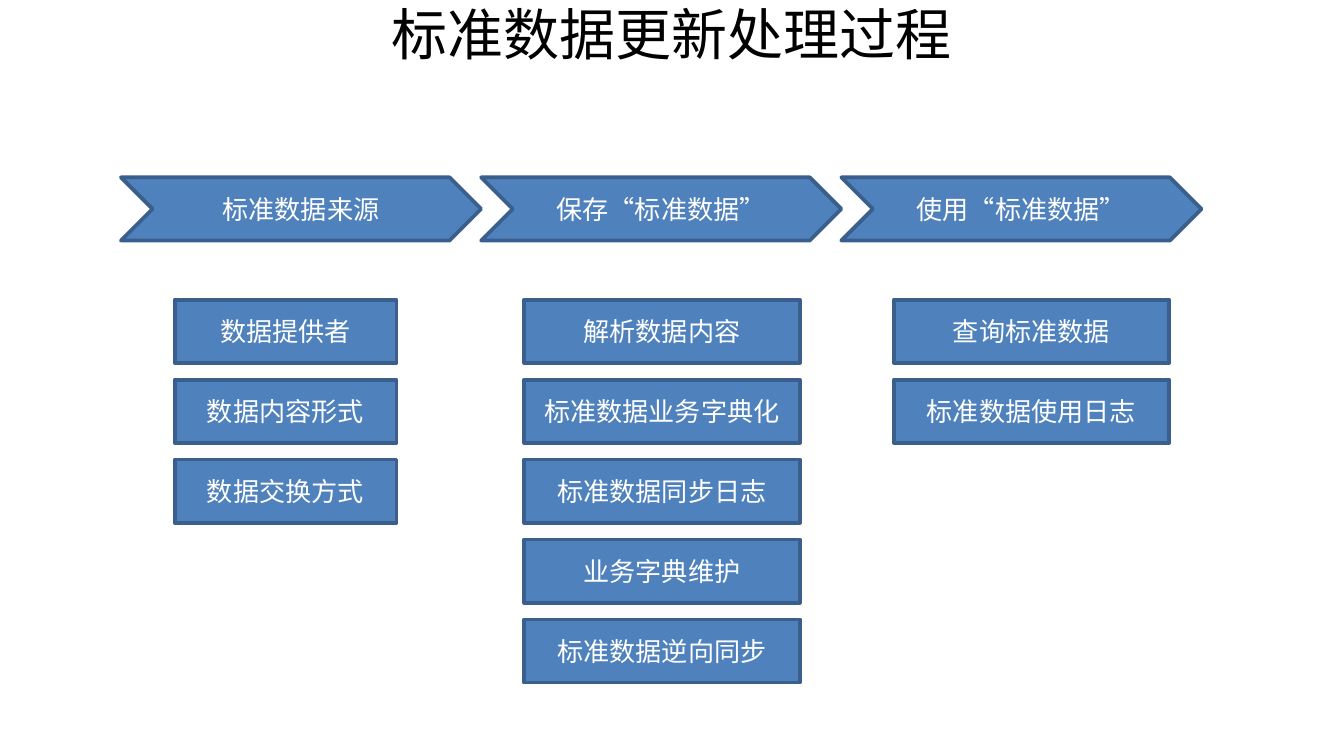
import pptx
import pptx.util
import pptx.dml.color
import pptx.enum.shapes
import pptx.enum.text

Inches = pptx.util.Inches
Pt = pptx.util.Pt
KIND = pptx.enum.shapes.MSO_SHAPE
ANCHOR = pptx.enum.text.MSO_ANCHOR


def color(code):
    return pptx.dml.color.RGBColor.from_string(code)


def write(shape, words, font, size, code, anchor):
    frame = shape.text_frame
    frame.word_wrap = True
    frame.vertical_anchor = anchor
    frame.margin_top = frame.margin_bottom = 0
    frame.text = words
    line = frame.paragraphs[0]
    line.alignment = pptx.enum.text.PP_ALIGN.CENTER
    run = line.runs[0]
    run.font.name = font
    run.font.size = Pt(size)
    run.font.color.rgb = color(code)


deck = pptx.Presentation()
deck.slide_width = Inches(10)
deck.slide_height = Inches(10) * 9 // 16
slide = deck.slides.add_slide(deck.slide_layouts[6])

title = slide.shapes.add_textbox(0, 0, Inches(10), Inches(0.55))
write(title, "标准数据更新处理过程", "Noto Sans CJK SC", 30, "000000", ANCHOR.TOP)

stages = [
    ("标准数据来源", 1.3, 1.65,
     ["数据提供者", "数据内容形式", "数据交换方式"]),
    ("保存“标准数据”", 3.9, 2.05,
     ["解析数据内容", "标准数据业务字典化", "标准数据同步日志",
      "业务字典维护", "标准数据逆向同步"]),
    ("使用“标准数据”", 6.65, 2.05,
     ["查询标准数据", "标准数据使用日志"]),
]
first, last = 2.23, 4.61
pitch = (last - first) / 4

boxes = []
for col, (stage, left, width, steps) in enumerate(stages):
    boxes.append((KIND.CHEVRON, stage, 0.9 + 2.68 * col, 1.32, 2.68))
    for row, step in enumerate(steps):
        boxes.append((KIND.RECTANGLE, step, left, first + pitch * row, width))

for kind, words, left, top, width in boxes:
    box = slide.shapes.add_shape(
        kind, Inches(left), Inches(top), Inches(width), Inches(0.47))
    box.shadow.inherit = False
    box.fill.solid()
    box.fill.fore_color.rgb = color("4F81BD")
    box.line.color.rgb = color("3A5F8C")
    box.line.width = Pt(2)
    write(box, words, "Calibri", 14, "FFFFFF", ANCHOR.MIDDLE)

deck.save("out.pptx")
